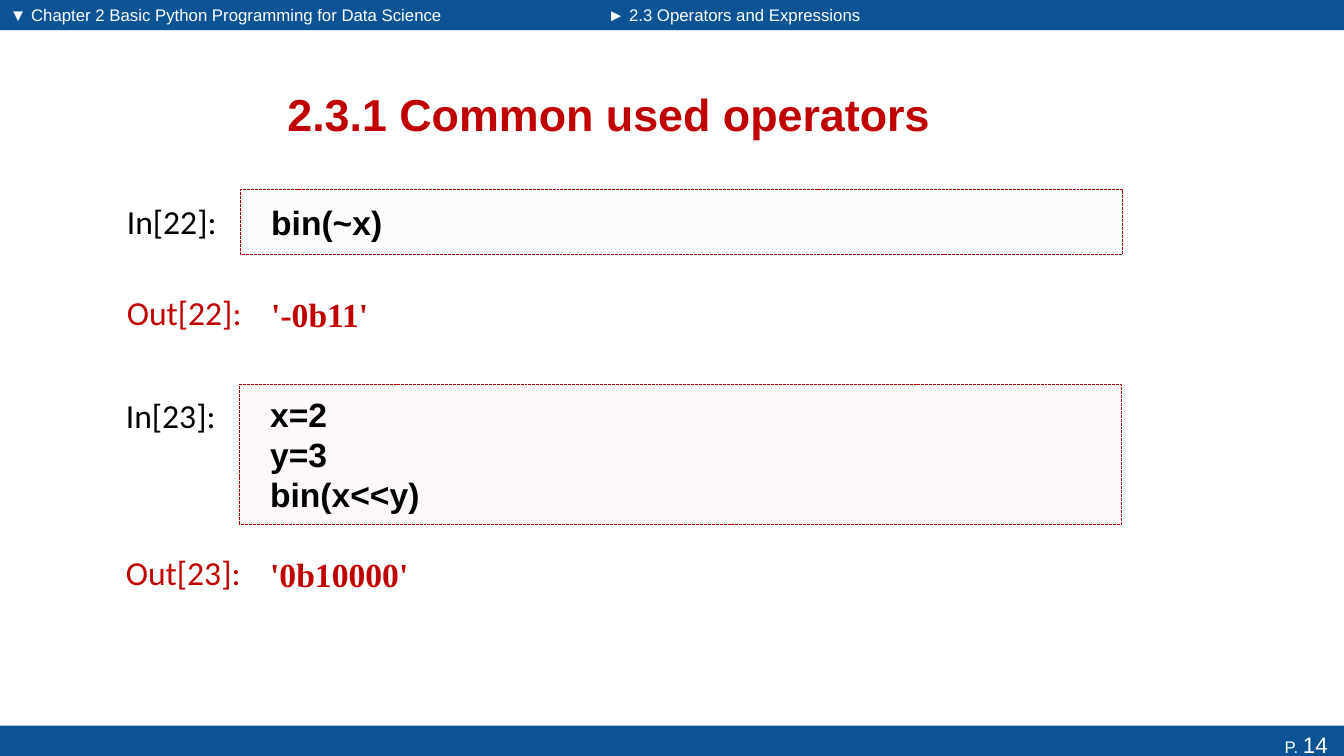
from pptx import Presentation
from pptx.dml.color import RGBColor
from pptx.enum.dml import MSO_LINE_DASH_STYLE as Dash
from pptx.enum.shapes import MSO_SHAPE as Shape
from pptx.enum.text import MSO_ANCHOR as Anchor, PP_ALIGN as Align
from pptx.oxml.ns import qn
from pptx.util import Inches, Pt
from lxml import etree

BLUE, RED, BORDER, BLACK, WHITE = "0B5394", "C00000", "AB0000", "000000", "FFFFFF"
CELL_WIDTH, LINE_HEIGHT = 8.74, 0.65


def color(hex_value):
    return RGBColor.from_string(hex_value)


def add_rect(slide, left, top, width, height, fill, opacity=100):
    rect = slide.shapes.add_shape(
        Shape.RECTANGLE, Inches(left), Inches(top), Inches(width), Inches(height))
    rect.shadow.inherit = False
    rect.fill.solid()
    rect.fill.fore_color.rgb = color(fill)
    rect.line.fill.background()
    if opacity < 100:
        fill_color = rect.fill._xPr.find(qn("a:solidFill"))[0]
        etree.SubElement(fill_color, qn("a:alpha"), val=str(opacity * 1000))
    return rect


def add_box(slide, left, top, width, height):
    return slide.shapes.add_textbox(
        Inches(left), Inches(top), Inches(width), Inches(height))


def set_font(font, size, hex_value, name="Arial", bold=False):
    font.size, font.name, font.bold = Pt(size), name, bold
    font.color.rgb = color(hex_value)


def write(shape, lines, size, hex_value, name="Arial", bold=False,
          align=Align.LEFT, anchor=Anchor.TOP, inset=0.1):
    frame = shape.text_frame
    frame.word_wrap = True
    frame.vertical_anchor = anchor
    frame.margin_left = Inches(inset)
    for index, line in enumerate(lines):
        para = frame.paragraphs[0] if index == 0 else frame.add_paragraph()
        para.text = line
        para.alignment = align
        set_font(para.font, size, hex_value, name, bold)


def add_header(slide, left, width, text_width, text):
    add_rect(slide, left, 0, width, 0.3, BLUE)
    write(add_box(slide, left, 0, text_width, 0.29), [text], 12, WHITE)


def add_footer(slide, number):
    bar = add_rect(slide, 0, 7.2, 13.33, 0.37, BLUE)
    bar.text_frame.margin_right = Inches(0.16)
    write(bar, ["P. "], 12, WHITE, align=Align.RIGHT)
    span = bar.text_frame.paragraphs[0].add_run()
    span.text = number
    span.font.size = Pt(16)


def add_label(slide, left, top, text, hex_value):
    write(add_box(slide, left, top + 0.06, 1.46, 0.5), [text], 24, hex_value, "Calibri")


def add_cell(slide, number, left, code_top, code, code_height, fill, result_top, result):
    """A notebook cell: framed code with its label, then the result."""
    code_left = left + 1.23
    add_label(slide, left, code_top, f"In[{number}]:", BLACK)
    frame = add_rect(slide, code_left, code_top, CELL_WIDTH, code_height, fill, 13)
    frame.line.color.rgb = color(BORDER)
    frame.line.width = Pt(0.7)
    frame.line.dash_style = Dash.SQUARE_DOT
    write(frame, code, 24, BLACK, bold=True, anchor=Anchor.MIDDLE, inset=0.3)

    add_label(slide, left, result_top, f"Out[{number}]:", RED)
    output = add_box(slide, code_left, result_top, CELL_WIDTH, LINE_HEIGHT)
    write(output, [result], 24, RED, "Times New Roman", True,
          anchor=Anchor.MIDDLE, inset=0.3)


def main():
    deck = Presentation()
    deck.slide_width, deck.slide_height = Inches(13.33), Inches(7.5)
    slide = deck.slides.add_slide(deck.slide_layouts[6])

    # Header and footer bars
    add_header(slide, 0, 5.93, 4.83, "▼ Chapter 2 Basic Python Programming for Data Science")
    add_header(slide, 5.93, 7.4, 2.78, "► 2.3 Operators and Expressions")
    add_footer(slide, "14")

    # Title
    write(add_box(slide, 0.68, 0.68, 10.72, 0.9), ["2.3.1 Common used operators"],
          32, RED, bold=True, align=Align.CENTER, anchor=Anchor.MIDDLE)

    # Notebook cells
    add_cell(slide, 22, 1.16, 1.88, ["bin(~x)"], LINE_HEIGHT, "F1EEF4", 2.79, "'-0b11'")
    add_cell(slide, 23, 1.15, 3.81, ["x=2", "y=3", "bin(x<<y)"], 1.39, "EDCDCB",
             5.37, "'0b10000'")

    deck.save("out.pptx")


if __name__ == "__main__":
    main()
